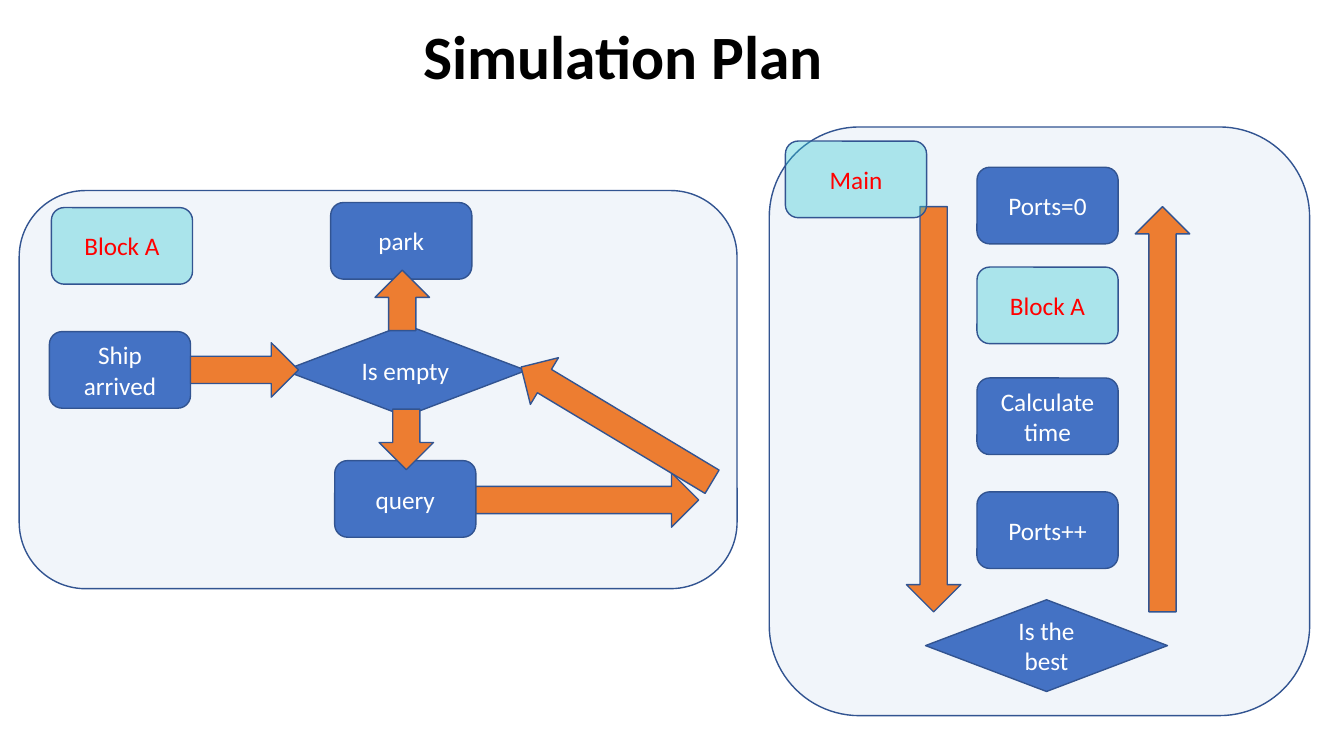
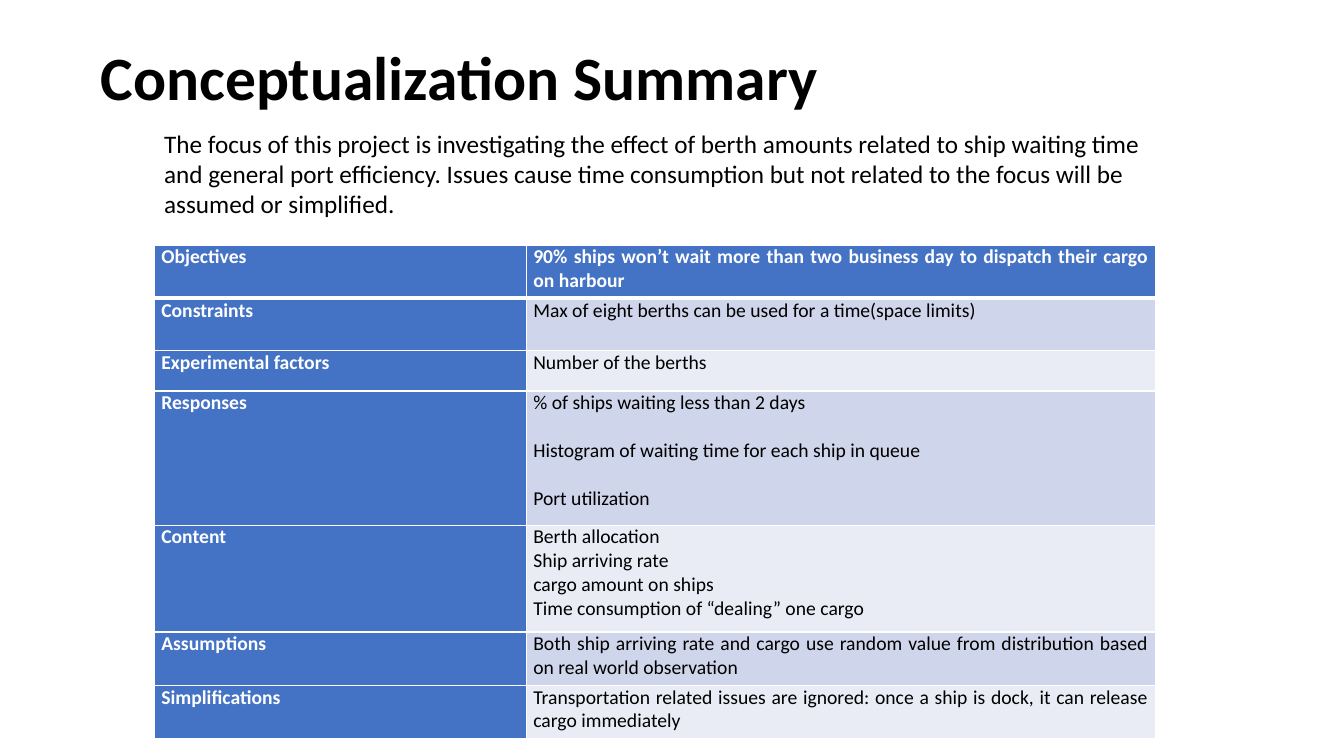
from dataclasses import dataclass

from pptx import Presentation
from pptx import util as u
from pptx.dml.color import RGBColor
from pptx.enum import shapes, text
from pptx.oxml import parse_xml
from pptx.oxml.ns import nsdecls, qn
from pptx.oxml.xmlchemy import OxmlElement

PX = 9144  # EMU per px, 100 px to the inch
FONT = "Calibri"
COLORS = {
    "blue": "4472C4", "outline": "325491", "orange": "ED7D31",
    "teal": "31C9D4", "red": "FF0000", "white": "FFFFFF", "black": "000000",
    "band_dark": "CFD5EA", "band_light": "E9EBF5",
}
KINDS = {
    "box": shapes.MSO_SHAPE.ROUNDED_RECTANGLE,
    "decision": shapes.MSO_SHAPE.FLOWCHART_DECISION,
    "arrow": shapes.MSO_SHAPE.RIGHT_ARROW,
}
BOX_W, BOX_H = 140, 76
DECISION_W, DECISION_H = 240, 91
ARROW_H = 54


@dataclass(frozen=True)
class Part:
    kind: str
    x: int
    y: int
    w: int
    h: int
    label: str = ""
    fill: str = "blue"
    alpha: int = 100
    ink: str = "white"
    rotation: int = 0


@dataclass(frozen=True)
class Row:
    height: int
    head: str
    lines: tuple[str, ...]
    gap: int = 0


# Part makers
def panel(x: int, y: int, w: int, h: int) -> Part:
    return Part("box", x, y, w, h, alpha=7)


def step(x: int, y: int, label: str) -> Part:
    return Part("box", x, y, BOX_W, BOX_H, label)


def block(x: int, y: int, label: str) -> Part:
    return Part("box", x, y, BOX_W, BOX_H, label, "teal", 37, "red")


def decision(x: int, y: int, label: str) -> Part:
    return Part("decision", x, y, DECISION_W, DECISION_H, label)


def arrow(x: int, y: int, length: int, rotation: int = 0) -> Part:
    return Part("arrow", x, y, length, ARROW_H, fill="orange", rotation=rotation)


MAIN_X = 969
PARTS = [
    # Block A: berth queue
    panel(19, 189, 712, 395),
    step(49, 329, "Ship arrived"),
    decision(282, 322, "Is empty"),
    step(328, 201, "park"),
    step(332, 457, "query"),
    arrow(189, 340, 107),
    arrow(369, 271, 60, 270),
    arrow(373, 409, 60, 90),
    arrow(472, 469, 221),
    arrow(501, 394, 221, 211),
    block(51, 206, "Block A"),
    # Main: loop over the ports
    panel(763, 126, 536, 584),
    step(MAIN_X, 166, "Ports=0"),
    block(MAIN_X, 265, "Block A"),
    step(MAIN_X, 375, "Calculate time"),
    step(MAIN_X, 488, "Ports++"),
    decision(918, 595, "Is the best"),
    arrow(725, 379, 402, 90),
    arrow(952, 379, 402, 270),
    block(779, 140, "Main"),
]

COLUMNS = (369, 624)
ROWS = [
    Row(53, "Objectives", (
        "90% ships won’t wait more than two business day to dispatch their cargo on harbour",)),
    Row(52, "Constraints", ("Max of eight berths can be used for a time(space limits)",)),
    Row(40, "Experimental factors", ("Number of the berths",)),
    Row(133, "Responses", (
        "% of ships waiting less than 2 days",
        "Histogram of waiting time for each ship in queue",
        "Port utilization"), gap=17),
    Row(106, "Content", (
        "Berth allocation", "Ship arriving rate", "cargo amount on ships",
        "Time consumption of “dealing” one cargo")),
    Row(53, "Assumptions", (
        "Both ship arriving rate and cargo use random value from distribution "
        "based on real world observation",)),
    Row(53, "Simplifications", (
        "Transportation related issues are ignored: once a ship is dock, "
        "it can release cargo immediately",)),
]
SUMMARY = (
    "The focus of this project is investigating the effect of berth amounts related to ship "
    "waiting time and general port efficiency. Issues cause time consumption but not related "
    "to the focus will be assumed or simplified."
)


# Drawing
def rgb(name: str) -> RGBColor:
    return RGBColor.from_string(COLORS[name])


def set_font(p, size: int, color: str, bold: bool = False) -> None:
    p.font.name, p.font.size, p.font.bold = FONT, u.Pt(size), bold
    p.font.color.rgb = rgb(color)


def add_text(slide, x: int, y: int, w: int, h: int, content: str, size: int):
    tf = slide.shapes.add_textbox(x * PX, y * PX, w * PX, h * PX).text_frame
    tf.word_wrap = True
    p = tf.paragraphs[0]
    p.text = content
    set_font(p, size, "black")
    return tf


def add_title(slide, x: int, y: int, w: int, h: int, content: str) -> None:
    tf = add_text(slide, x, y, w, h, content, 44)
    tf.vertical_anchor = text.MSO_ANCHOR.MIDDLE
    p = tf.paragraphs[0]
    p.font.bold = True
    p.line_spacing = 0.9


def add_part(slide, part: Part) -> None:
    sp = slide.shapes.add_shape(
        KINDS[part.kind], part.x * PX, part.y * PX, part.w * PX, part.h * PX)
    sp.shadow.inherit = False
    sp.rotation = part.rotation
    sp.fill.solid()
    sp.fill.fore_color.rgb = rgb(part.fill)
    if part.alpha < 100:
        alpha = OxmlElement("a:alpha")
        alpha.set("val", str(part.alpha * 1000))
        sp.element.spPr.find(qn("a:solidFill")).find(qn("a:srgbClr")).append(alpha)
    sp.line.color.rgb = rgb("outline")
    sp.line.width = u.Pt(1)
    if part.label:
        tf = sp.text_frame
        tf.word_wrap = True
        tf.vertical_anchor = text.MSO_ANCHOR.MIDDLE
        p = tf.paragraphs[0]
        p.text = part.label
        p.alignment = text.PP_ALIGN.CENTER
        set_font(p, 18, part.ink)


def set_borders(cell, row: int) -> None:
    widths = {"L": 1, "R": 1, "T": 3 if row == 1 else 1, "B": 3 if row == 0 else 1}
    tc_pr = cell._tc.get_or_add_tcPr()
    for side, width in widths.items():
        tc_pr.append(parse_xml(
            f'<a:ln{side} {nsdecls("a")} w="{u.Pt(width)}"><a:solidFill>'
            f'<a:srgbClr val="{COLORS["white"]}"/></a:solidFill></a:ln{side}>'))


def fill_cell(cell, row: int, lines: tuple[str, ...], gap: int, heading: bool) -> None:
    set_borders(cell, row)
    cell.fill.solid()
    band = "band_dark" if row % 2 else "band_light"
    cell.fill.fore_color.rgb = rgb("blue" if heading else band)
    cell.margin_left = cell.margin_right = 7 * PX
    cell.margin_top = cell.margin_bottom = 0
    tf = cell.text_frame
    for i, line in enumerate(lines):
        p = tf.add_paragraph() if i else tf.paragraphs[0]
        p.text = line
        p.alignment = text.PP_ALIGN.JUSTIFY
        p.space_before = u.Pt(gap if i else 0)
        set_font(p, 14, "white" if heading else "black", heading)


def add_summary_table(slide, x: int, y: int) -> None:
    height = sum(row.height for row in ROWS)
    table = slide.shapes.add_table(
        len(ROWS), len(COLUMNS), x * PX, y * PX, sum(COLUMNS) * PX, height * PX).table
    for column, width in zip(table.columns, COLUMNS):
        column.width = width * PX
    for i, row in enumerate(ROWS):
        table.rows[i].height = row.height * PX
        fill_cell(table.cell(i, 0), i, (row.head,), 0, True)
        fill_cell(table.cell(i, 1), i, row.lines, row.gap, i == 0)


def main() -> None:
    prs = Presentation()
    prs.slide_width, prs.slide_height = 1333 * PX, 750 * PX
    blank = prs.slide_layouts[6]

    # Simulation plan
    slide = prs.slides.add_slide(blank)
    add_title(slide, 410, 10, 444, 99, "Simulation Plan")
    for part in PARTS:
        add_part(slide, part)

    # Conceptualization summary
    slide = prs.slides.add_slide(blank)
    add_title(slide, 90, 7, 1150, 145, "Conceptualization Summary")
    add_summary_table(slide, 153, 243)
    add_text(slide, 153, 122, 990, 101, SUMMARY, 18)

    prs.save("out.pptx")


if __name__ == "__main__":
    main()
